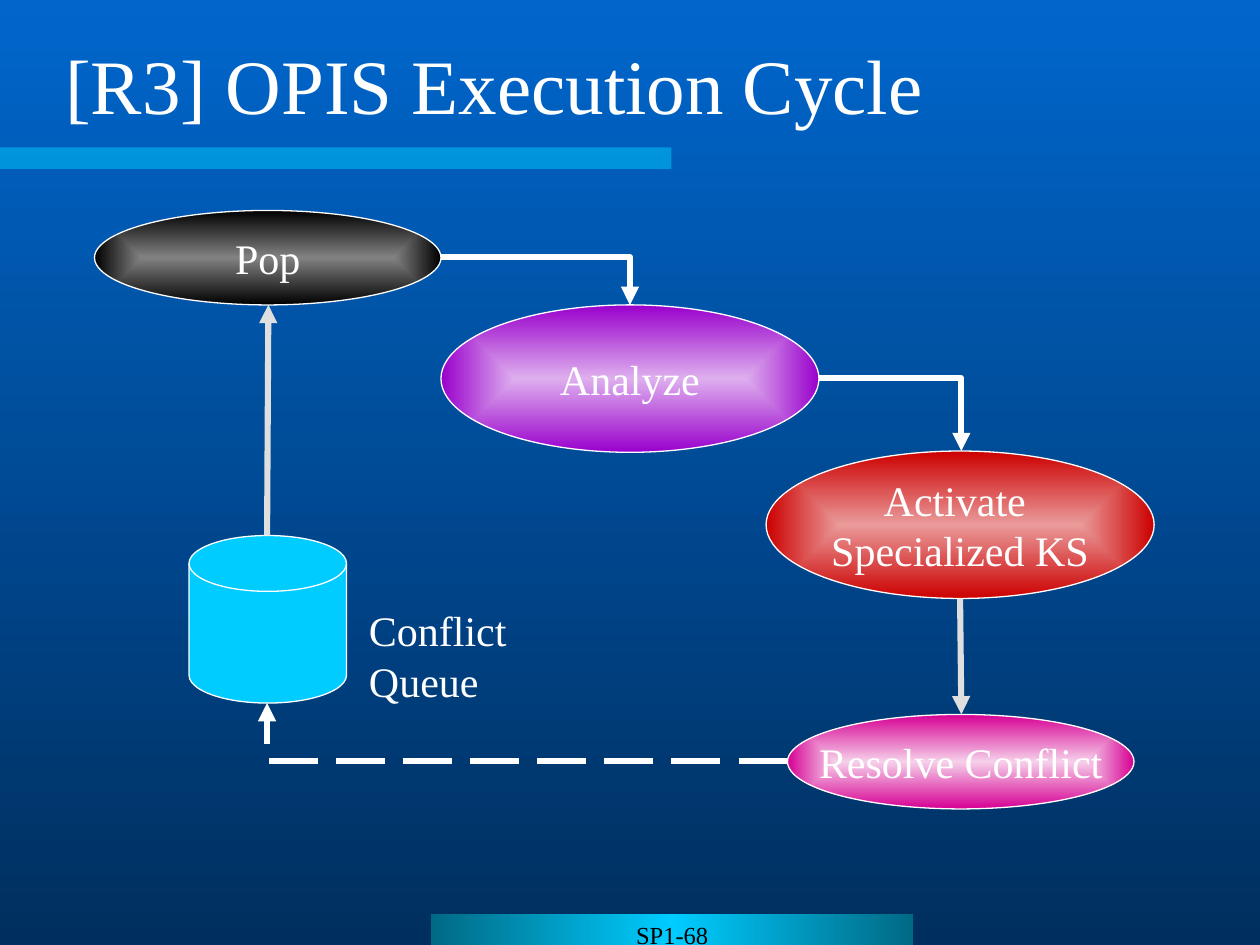
from lxml.etree import SubElement
from pptx import Presentation
from pptx.dml.color import RGBColor
from pptx.enum.dml import MSO_LINE
from pptx.enum.shapes import MSO_CONNECTOR as Connector, MSO_SHAPE as Shape
from pptx.enum.text import MSO_ANCHOR as Anchor, PP_ALIGN as Align
from pptx.oxml.ns import qn
from pptx.util import Inches, Pt

WHITE = RGBColor(0xFF, 0xFF, 0xFF)
BLACK = RGBColor(0, 0, 0)
SILVER = RGBColor(0xDF, 0xDF, 0xDF)
CYAN = RGBColor(0, 0xCC, 0xFF)
TEAL = RGBColor(0, 0x69, 0x84)
SKY = RGBColor(0, 0x66, 0xCC)
NAVY = RGBColor(0, 0x2F, 0x5E)
GRAY = RGBColor(0x82, 0x82, 0x82)
LILAC = RGBColor(0xDE, 0xAF, 0xEE)
PURPLE = RGBColor(0x99, 0, 0xCC)
SALMON = RGBColor(0xEA, 0x9A, 0x9A)
RED = RGBColor(0xCC, 0, 0)
BLUSH = RGBColor(0xF6, 0xD0, 0xEA)
MAGENTA = RGBColor(0xD6, 0, 0x93)

TITLE = "[R3] OPIS Execution Cycle"
QUEUE_LABEL = "Conflict Queue"
FOOTER = "SP1-68"
STEPS = [
    (["Pop"], (0.75, 1.67, 2.75, 0.75), (GRAY, BLACK)),
    (["Analyze"], (3.5, 2.42, 3, 1.17), (LILAC, PURPLE)),
    (["Activate ", "Specialized KS"], (6.08, 3.58, 3.08, 1.17), (SALMON, RED)),
    (["Resolve Conflict"], (6.25, 5.67, 2.75, 0.75), (BLUSH, MAGENTA)),
]
ARROWS = [
    (Connector.STRAIGHT, (2.12, 4.25), (2.13, 2.42), SILVER, None),
    (Connector.ELBOW, (3.5, 2.04), (5, 2.42), WHITE, None),
    (Connector.ELBOW, (6.5, 3), (7.63, 3.58), WHITE, None),
    (Connector.STRAIGHT, (7.62, 4.75), (7.63, 5.67), SILVER, None),
    (Connector.ELBOW, (6.25, 6.04), (2.12, 5.58), WHITE, MSO_LINE.LONG_DASH),
]


def set_gradient(fill, parent, colors, angle=None):
    fill.solid()
    solid = parent.find(qn("a:solidFill"))
    gradient = parent.makeelement(qn("a:gradFill"), {"rotWithShape": "1"})
    stops = SubElement(gradient, qn("a:gsLst"))
    for index, color in enumerate(colors):
        position = 100000 * index // (len(colors) - 1)
        stop = SubElement(stops, qn("a:gs"), pos=str(position))
        SubElement(stop, qn("a:srgbClr"), val=str(color))
    if angle is None:
        center = SubElement(gradient, qn("a:path"), {"path": "rect"})
        SubElement(center, qn("a:fillToRect"), dict.fromkeys("ltrb", "50000"))
    else:
        SubElement(gradient, qn("a:lin"), ang=str(angle * 60000), scaled="0")
    parent.replace(solid, gradient)


def write(shape, lines, size=24, color=WHITE, align=Align.LEFT, **frame_format):
    frame = shape.text_frame
    for name, value in frame_format.items():
        setattr(frame, name, value)
    frame.text = "\n".join(lines)
    font_format = {"name": "Times New Roman", "size": Pt(size)}
    for paragraph in frame.paragraphs:
        paragraph.alignment = align
        for name, value in font_format.items():
            setattr(paragraph.font, name, value)
        paragraph.font.color.rgb = color


def add_shape(slide, kind, box, fill=None, outlined=True):
    shape = slide.shapes.add_shape(kind, *map(Inches, box))
    shape.shadow.inherit = False
    if fill is not None:
        shape.fill.solid()
        shape.fill.fore_color.rgb = fill
    if outlined:
        shape.line.color.rgb = WHITE
        shape.line.width = Pt(0.75)
    else:
        shape.line.fill.background()
    return shape


def add_text(slide, box, text, **text_format):
    write(slide.shapes.add_textbox(*map(Inches, box)), [text], **text_format)


def add_arrow(slide, kind, start, end, color, dash):
    arrow = slide.shapes.add_connector(kind, *map(Inches, start + end))
    properties = arrow.element.spPr
    if kind == Connector.ELBOW:
        properties.find(qn("a:prstGeom")).set("prst", "bentConnector2")
    arrow.line.color.rgb = color
    line_format = {"width": Pt(3.5), "dash_style": dash}
    for name, value in line_format.items():
        setattr(arrow.line, name, value)
    SubElement(properties.find(qn("a:ln")), qn("a:tailEnd"), type="triangle")
    SubElement(properties, qn("a:effectLst"))


def main():
    presentation = Presentation()
    presentation.slide_width = Inches(10)
    presentation.slide_height = Inches(7.5)
    slide = presentation.slides.add_slide(presentation.slide_layouts[6])
    background = slide.background.fill
    background.solid()
    set_gradient(background, slide.element.find(".//" + qn("p:bgPr")), [SKY, NAVY], 90)

    bar = add_shape(slide, Shape.RECTANGLE, (0, 1.17, 5.33, 0.17), CYAN, False)
    bar_color = bar.element.spPr.find(qn("a:solidFill")).find(qn("a:srgbClr"))
    SubElement(bar_color, qn("a:alpha"), val="50000")

    footer = add_shape(slide, Shape.RECTANGLE, (3.42, 7.25, 3.83, 0.25), outlined=False)
    set_gradient(footer.fill, footer.element.spPr, [TEAL, CYAN, TEAL], 180)
    write(footer, [FOOTER], 14, BLACK, Align.CENTER, vertical_anchor=Anchor.TOP)

    add_text(slide, (0.42, 0.25, 9.25, 0.83), TITLE, size=44,
             word_wrap=True, vertical_anchor=Anchor.MIDDLE)

    queue = add_shape(slide, Shape.FLOWCHART_DIRECT_ACCESS_STORAGE,
                      (1.46, 4.29, 1.33, 1.25), CYAN)
    queue.rotation = 270
    add_text(slide, (2.83, 4.75, 2.24, 0.5), QUEUE_LABEL, word_wrap=False)

    for lines, box, colors in STEPS:
        step = add_shape(slide, Shape.OVAL, box)
        set_gradient(step.fill, step.element.spPr, colors)
        write(step, lines, align=Align.CENTER, word_wrap=False,
              vertical_anchor=Anchor.MIDDLE)

    for arrow in ARROWS:
        add_arrow(slide, *arrow)

    presentation.save("out.pptx")


if __name__ == "__main__":
    main()
